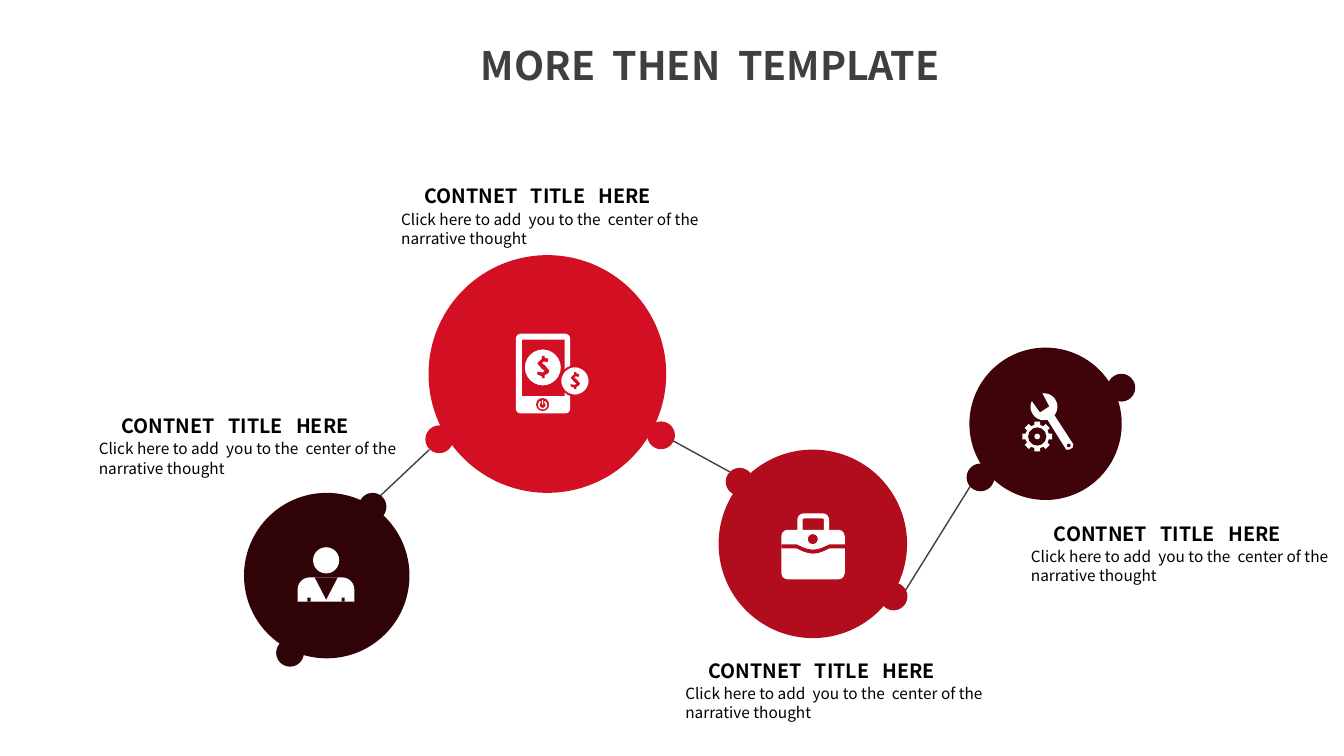
from math import cos, pi, radians, sin

from lxml import etree
from pptx import Presentation
from pptx.dml.color import RGBColor
from pptx.enum.shapes import MSO_CONNECTOR, MSO_SHAPE
from pptx.oxml.ns import qn
from pptx.util import Cm, Pt

OVAL, RECT = MSO_SHAPE.OVAL, MSO_SHAPE.RECTANGLE
ROUNDED, ROUND_TOP = MSO_SHAPE.ROUNDED_RECTANGLE, MSO_SHAPE.ROUND_2_SAME_RECTANGLE
TRIANGLE, ARC = MSO_SHAPE.ISOSCELES_TRIANGLE, MSO_SHAPE.ARC
STRAIGHT = MSO_CONNECTOR.STRAIGHT

FONT = "Noto Sans CJK SC"
BLACK = RGBColor(0x00, 0x00, 0x00)
WHITE = RGBColor(0xFF, 0xFF, 0xFF)
GREY = RGBColor(0x3F, 0x3F, 0x3F)
RED = RGBColor(0xD2, 0x0F, 0x23)
CRIMSON = RGBColor(0xB1, 0x0D, 0x1D)
MAROON = RGBColor(0x3E, 0x04, 0x0A)
DARK = RGBColor(0x2F, 0x03, 0x07)

prs = Presentation()
prs.slide_width, prs.slide_height = Cm(33.87), Cm(19.05)
slide = prs.slides.add_slide(prs.slide_layouts[6])
shapes = slide.shapes


def add_preset(kind, left, top, width, height, fill=None, line=None, weight=0):
    shape = shapes.add_shape(kind, Cm(left), Cm(top), Cm(width), Cm(height))
    shape.shadow.inherit = False
    if fill is None:
        shape.fill.background()
    else:
        shape.fill.solid()
        shape.fill.fore_color.rgb = fill
    if line is None:
        shape.line.fill.background()
    else:
        shape.line.color.rgb = line
        shape.line.width = Cm(weight)
    return shape


def add_polygon(points, fill):
    corners = [(Cm(x), Cm(y)) for x, y in points]
    builder = shapes.build_freeform(*corners[0])
    builder.add_line_segments(corners[1:])
    shape = builder.convert_to_shape()
    shape.shadow.inherit = False
    shape.fill.solid()
    shape.fill.fore_color.rgb = fill
    shape.line.fill.background()


# Links between the circles
for x1, y1, x2, y2 in [(10.82, 11.33, 9.45, 12.62), (16.71, 10.97, 18.39, 11.89),
                       (22.56, 15.29, 24.49, 12.19)]:
    link = shapes.add_connector(STRAIGHT, Cm(x1), Cm(y1), Cm(x2), Cm(y2))
    link.line.color.rgb = GREY
    link.line.width = Pt(1)
    etree.SubElement(link._element.spPr, qn("a:effectLst"))

# Circles, each with two small dots on its rim
DOT = 0.7
for color, left, top, size, dots in [
    (DARK, 6.15, 12.42, 4.17, [(9.04, 12.42), (6.96, 16.1)]),
    (RED, 10.8, 6.43, 5.99, [(10.72, 10.72), (16.31, 10.62)]),
    (CRIMSON, 18.11, 11.33, 4.75, [(18.29, 11.79), (22.17, 14.68)]),
    (MAROON, 24.43, 8.76, 3.84, [(24.36, 11.68), (27.91, 9.42)]),
]:
    add_preset(OVAL, left, top, size, size, color)
    for dot_left, dot_top in dots:
        add_preset(OVAL, dot_left, dot_top, DOT, DOT, color)

# Person
add_preset(OVAL, 7.89, 13.79, 0.66, 0.66, WHITE)
torso = add_preset(ROUND_TOP, 7.5, 14.55, 1.43, 0.61, WHITE)
torso.adjustments[0] = 0.5
add_preset(TRIANGLE, 7.93, 14.55, 0.58, 0.56, DARK).rotation = 180
for slit_left in (7.75, 8.61):
    add_preset(RECT, slit_left, 15.06, 0.08, 0.1, DARK)

# Phone with coins
phone = add_preset(ROUNDED, 13, 8.41, 1.37, 2.01, WHITE)
phone.adjustments[0] = 0.09
add_preset(RECT, 13.16, 8.56, 1.07, 1.42, RED)
DOLLAR = [(0.1, 0.41), (0.1, 0.56), (-0.05, 0.56), (-0.05, 0.46), (-0.29, 0.37),
          (-0.29, 0.22), (0, 0.27), (0.1, 0.17), (-0.05, 0.07), (-0.29, -0.22),
          (-0.05, -0.46), (-0.05, -0.61), (0.1, -0.61), (0.1, -0.51), (0.29, -0.46),
          (0.24, -0.27), (0.05, -0.32), (-0.05, -0.22), (0.1, -0.12), (0.34, 0.17),
          (0.29, 0.3)]
for x, y, radius in [(13.68, 9.26, 0.48), (14.49, 9.6, 0.37)]:
    add_preset(OVAL, x - radius, y - radius, 2 * radius, 2 * radius, WHITE, RED, 0.05)
    add_polygon([(x + dx * radius, y + dy * radius) for dx, dy in DOLLAR], RED)
add_preset(OVAL, 13.51, 10.03, 0.33, 0.33, RED)
power_ring = add_preset(ARC, 13.58, 10.11, 0.19, 0.19, line=WHITE, weight=0.04)
power_ring.adjustments[0] = 180  # 300 degrees
power_ring.adjustments[1] = 144  # 240 degrees
add_preset(RECT, 13.66, 10.08, 0.03, 0.12, WHITE)

# Briefcase
handle = add_preset(ROUNDED, 20.16, 13, 0.67, 0.5, line=WHITE, weight=0.13)
handle.adjustments[0] = 0.2
case = add_preset(ROUNDED, 19.69, 13.35, 1.6, 1.25, WHITE)
case.adjustments[0] = 0.13
flap = [(19.69, 13.72)]
flap += [(20.08 + 0.82 * i / 12, 13.72 + 0.13 * sin(pi * i / 12)) for i in range(13)]
flap += [(21.29, 13.72)]
add_polygon(flap + [(x, y + 0.1) for x, y in reversed(flap)], CRIMSON)
add_preset(OVAL, 20.36, 13.46, 0.25, 0.25, CRIMSON)

# Wrench and gear
add_preset(OVAL, 25.97, 9.91, 0.68, 0.68, WHITE)
add_polygon([(26.24, 9.86), (26.44, 10.24), (26.21, 10.39), (25.93, 10)], MAROON)
add_polygon([(26.5, 10.35), (27.05, 11.2), (27.03, 11.28), (26.95, 11.33),
             (26.87, 11.33), (26.33, 10.47)], WHITE)
add_preset(OVAL, 26.89, 11.18, 0.09, 0.09, MAROON)
gear_x, gear_y = 26.14, 11
gear = []
for tooth in range(8):
    for offset, radius in [(-14, 0.3), (-11, 0.38), (11, 0.38), (14, 0.3)]:
        angle = radians(45 * tooth + offset)
        gear.append((gear_x + radius * cos(angle), gear_y + radius * sin(angle)))
add_polygon(gear, WHITE)
for radius, color in [(0.23, MAROON), (0.07, WHITE)]:
    add_preset(OVAL, gear_x - radius, gear_y - radius, 2 * radius, 2 * radius, color)

# Texts: "|" marks a wide gap, made by letter spacing on one space.
# Each line: text, size, bold, colour, indent in cm, line height and space before in pt, gap in pt
title = [("MORE|THEN|TEMPLATE", 28, True, GREY, 0.54, 40, 0, 6.3)]
caption = [("CONTNET|TITLE|HERE", 14, True, BLACK, 0.58, 27.4, 0, 6.3),
           ("Click here to add|you to the|center of the", 11, False, BLACK, 0, 13.6, 1.2, 2.5),
           ("narrative thought", 11, False, BLACK, 0, 13.6, 0, 0)]
for left, top, width, height, lines in [
    (11.33, 0.69, 13.67, 1.63, title),
    (9.86, 4.14, 8.1, 2.24, caption),
    (2.24, 9.93, 8.1, 2.24, caption),
    (17.02, 16.1, 8.1, 2.24, caption),
    (25.73, 12.65, 8.1, 2.24, caption),
]:
    frame = shapes.add_textbox(Cm(left), Cm(top), Cm(width), Cm(height)).text_frame
    frame.word_wrap = True
    frame.margin_right = 0
    for index, (text, size, bold, color, indent, pitch, before, gap) in enumerate(lines):
        paragraph = frame.add_paragraph() if index else frame.paragraphs[0]
        paragraph._p.get_or_add_pPr().set("marL", str(Cm(indent)))
        paragraph.line_spacing = Pt(pitch)
        if before:
            paragraph.space_before = Pt(before)
        for part_index, part in enumerate(text.split("|")):
            if part_index:
                space = paragraph.add_run()
                space.text = " "
                space._r.get_or_add_rPr().set("spc", str(round(gap * 100)))
            paragraph.add_run().text = part
        paragraph.font.name = FONT
        paragraph.font.size = Pt(size)
        paragraph.font.bold = bold
        paragraph.font.color.rgb = color

prs.save("out.pptx")
